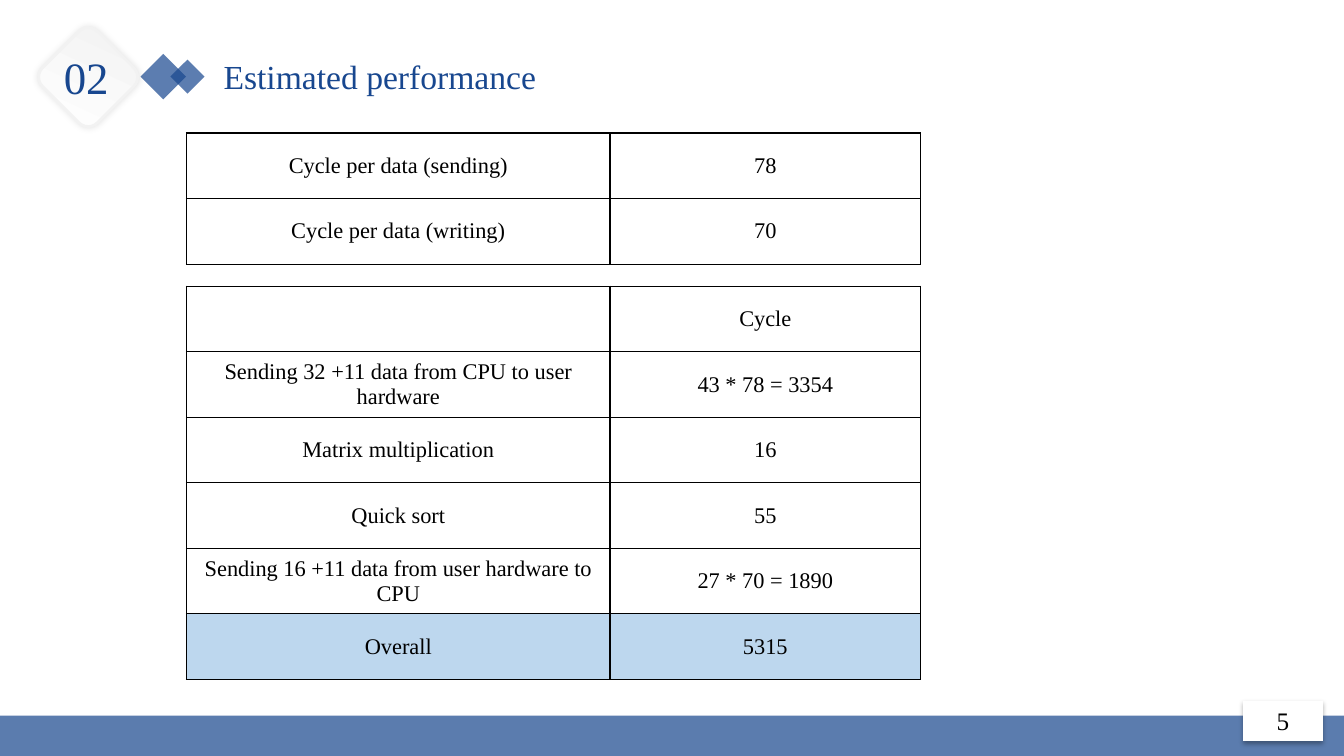
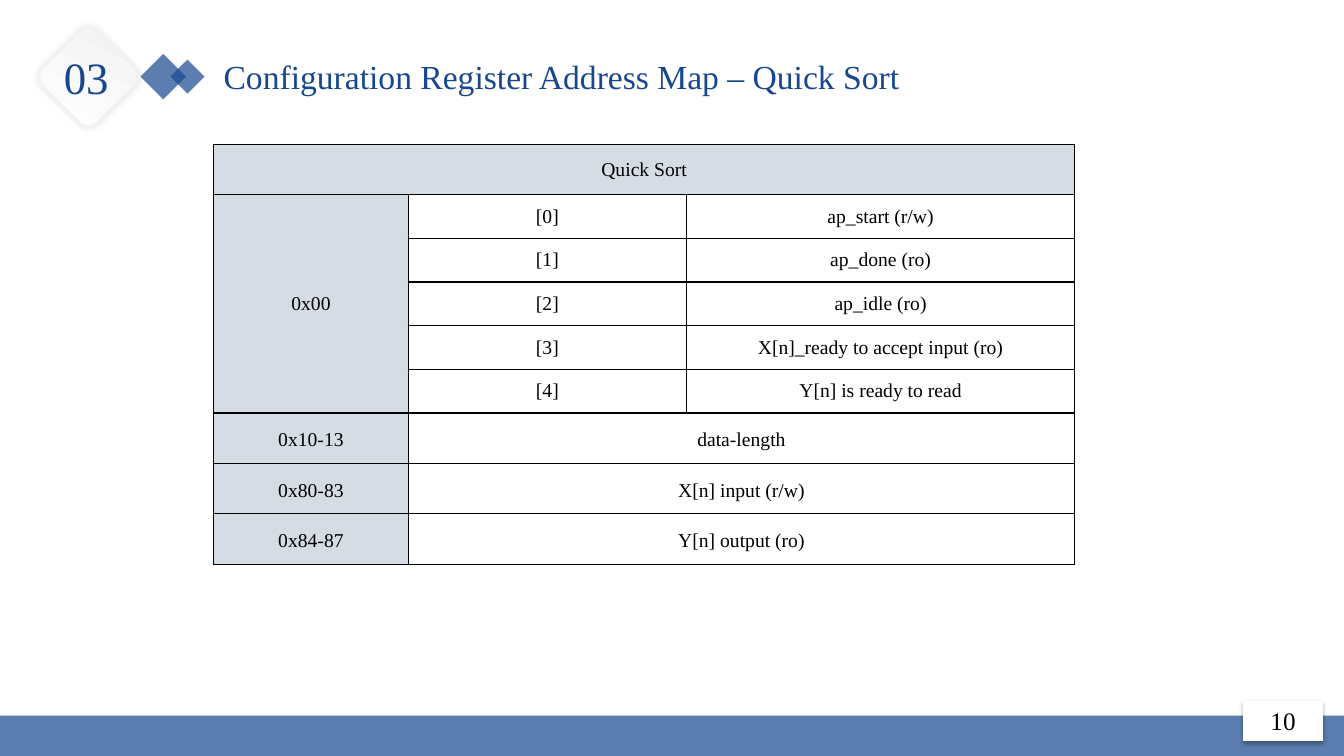
from lxml import etree
from pptx import Presentation
from pptx.dml.color import RGBColor
from pptx.enum.shapes import MSO_SHAPE
from pptx.enum.text import MSO_ANCHOR, PP_ALIGN
from pptx.oxml.ns import qn
from pptx.util import Inches, Pt

RECTANGLE, ROUNDED = MSO_SHAPE.RECTANGLE, MSO_SHAPE.ROUNDED_RECTANGLE
LEFT, CENTER = PP_ALIGN.LEFT, PP_ALIGN.CENTER
TOP, MIDDLE = MSO_ANCHOR.TOP, MSO_ANCHOR.MIDDLE

NAVY = RGBColor(0x18, 0x47, 0x8F)
STEEL = RGBColor(0x5B, 0x7C, 0xAE)
PALE_BLUE = RGBColor(0xBD, 0xD7, 0xEE)
SLATE = RGBColor(0xD5, 0xDC, 0xE4)
OFF_WHITE = RGBColor(0xF2, 0xF2, 0xF2)
WHITE = RGBColor(0xFF, 0xFF, 0xFF)
BLACK = RGBColor(0, 0, 0)
FONT = "Times New Roman"

SLIDE_W, SLIDE_H = Inches(13.33), Inches(7.5)


# Lengths are percentages of the slide's width or height
def across(share):
    return round(SLIDE_W * share / 100)


def down(share):
    return round(SLIDE_H * share / 100)


def area(left, top, width, height):
    return across(left), down(top), across(width), down(height)


# Text
def write(frame, text, size=18, color=BLACK, align=CENTER, anchor=TOP,
          wrap=True, line_spacing=None):
    frame.word_wrap = wrap
    frame.vertical_anchor = anchor
    paragraph = frame.paragraphs[0]
    paragraph.alignment = align
    if line_spacing:
        paragraph.line_spacing = Pt(line_spacing)
    run = paragraph.add_run()
    run.text = text
    run.font.name = FONT
    run.font.size = Pt(size)
    run.font.color.rgb = color


def add_text(slide, place, text, **text_format):
    write(slide.shapes.add_textbox(*place).text_frame, text, **text_format)


# Shapes
def add_block(slide, place, color, kind=RECTANGLE):
    block = slide.shapes.add_shape(kind, *place)
    block.shadow.inherit = False
    block.fill.solid()
    block.fill.fore_color.rgb = color
    block.line.fill.background()
    return block


def add_diamond(slide, center_x, center_y, side, color, angle, kind=RECTANGLE):
    edge = down(side)
    place = (across(center_x) - edge // 2, down(center_y) - edge // 2, edge, edge)
    diamond = add_block(slide, place, color, kind)
    diamond.rotation = angle
    return diamond


def set_alpha(color_element, percent):
    etree.SubElement(color_element, qn("a:alpha"), val=str(percent * 1000))


def cast_shadow(shape, percent, blur, distance=0, angle=0):
    effects = shape._element.spPr.find(qn("a:effectLst"))
    outer = etree.SubElement(effects, qn("a:outerShdw"), blurRad=str(Pt(blur)),
                             dist=str(Pt(distance)), dir=str(angle * 60000),
                             algn="ctr", rotWithShape="0")
    set_alpha(etree.SubElement(outer, qn("a:srgbClr"), val=str(BLACK)), percent)


# Header and footer that every slide shares
def add_framed_slide(deck, section, title, page):
    slide = deck.slides.add_slide(deck.slide_layouts[6])

    for center_x, side in ((12.15, 4.27), (13.95, 3.2)):
        marker = add_diamond(slide, center_x, 10.13, side, NAVY, 225)
        set_alpha(marker._element.spPr.find(qn("a:solidFill"))[0], 70)
    add_text(slide, area(15.9, 6.67, 67.37, 6.67), title,
             size=24, color=NAVY, align=LEFT)

    badge = add_diamond(slide, 6.56, 10.2, 10.27, WHITE, 45, ROUNDED)
    badge.fill.gradient()
    badge.fill.gradient_angle = 110
    for stop, color in zip(badge.fill.gradient_stops, (WHITE, OFF_WHITE)):
        stop.color.rgb = color
    badge.line.color.rgb = OFF_WHITE
    badge.line.width = Pt(2)
    cast_shadow(badge, 11, blur=5)
    add_text(slide, area(3.98, 5.87, 4.88, 8.53), section,
             size=32, color=NAVY, wrap=False)

    add_block(slide, area(0, 94.67, 100, 5.33), STEEL)
    page_tab = add_block(slide, area(92.5, 92.67, 5.93, 5.33), WHITE)
    cast_shadow(page_tab, 32, blur=3.5, distance=2.2, angle=90)
    write(page_tab.text_frame, page, anchor=MIDDLE)
    return slide


# Tables
def add_borders(cell):
    properties = cell._tc.get_or_add_tcPr()
    for edge in ("lnL", "lnR", "lnT", "lnB"):
        line = etree.SubElement(properties, qn(f"a:{edge}"), w=str(Pt(1)))
        solid = etree.SubElement(line, qn("a:solidFill"))
        etree.SubElement(solid, qn("a:srgbClr"), val=str(BLACK))


def add_grid(slide, left, top, columns, heights, rows, size,
             shade=None, is_shaded=None, merges=(), spaced_from=None):
    place = area(left, top, sum(columns), sum(heights))
    table = slide.shapes.add_table(len(rows), len(columns), *place).table
    table.first_row = table.horz_banding = False
    for column, width in zip(table.columns, columns):
        column.width = across(width)
    for table_row, height in zip(table.rows, heights):
        table_row.height = down(height)

    for r, row in enumerate(rows):
        spacing = 18 if spaced_from is not None and r >= spaced_from else None
        for c, text in enumerate(row):
            cell = table.cell(r, c)
            cell.margin_left = cell.margin_right = Inches(0.07)
            cell.margin_top = cell.margin_bottom = 0
            cell.vertical_anchor = MIDDLE
            add_borders(cell)
            if is_shaded and is_shaded(r, c):
                cell.fill.solid()
                cell.fill.fore_color.rgb = shade
            else:
                cell.fill.background()
            if text:
                write(cell.text_frame, text, size=size, line_spacing=spacing)
    for first, last in merges:
        table.cell(*first).merge(table.cell(*last))


# Slides
def add_performance(deck):
    slide = add_framed_slide(deck, "02", "Estimated performance", "5")
    columns, row_height = (31.51, 23.11), 8.67
    cycles_per_data = [
        ("Cycle per data (sending)", "78"),
        ("Cycle per data (writing)", "70"),
    ]
    cycle_budget = [
        ("", "Cycle"),
        ("Sending 32 +11 data from CPU to user hardware", "43 * 78 = 3354"),
        ("Matrix multiplication", "16"),
        ("Quick sort", "55"),
        ("Sending 16 +11 data from user hardware to CPU", "27 * 70 = 1890"),
        ("Overall", "5315"),
    ]
    overall = len(cycle_budget) - 1
    for top, rows, is_shaded in (
            (17.6, cycles_per_data, None),
            (37.87, cycle_budget, lambda r, c: r == overall)):
        add_grid(slide, 13.88, top, columns, [row_height] * len(rows), rows,
                 size=16, shade=PALE_BLUE, is_shaded=is_shaded)


def add_address_map(deck):
    slide = add_framed_slide(
        deck, "03", "Configuration Register Address Map – Quick Sort", "10")
    control_bits = ("ap_start (r/w)", "ap_done (ro)", "ap_idle (ro)",
                    "X[n]_ready to accept input (ro)", "Y[n] is ready to read")
    registers = [("0x10-13", "data-length", ""),
                 ("0x80-83", "X[n] input (r/w)", ""),
                 ("0x84-87", "Y[n] output (ro)", "")]
    bit_rows = [("" if bit else "0x00", f"[{bit}]", meaning)
                for bit, meaning in enumerate(control_bits)]
    rows = [("Quick Sort", "", "")] + bit_rows + registers
    last_bit = len(bit_rows)
    tall, short = 6.67, 5.78
    merges = [((0, 0), (0, 2)), ((1, 0), (last_bit, 0))]
    merges += [((r, 1), (r, 2)) for r in range(last_bit + 1, len(rows))]
    add_grid(slide, 15.9, 19.07, (14.48, 20.71, 28.88),
             [tall] + [short] * last_bit + [tall] * len(registers), rows,
             size=14, shade=SLATE, is_shaded=lambda r, c: r == 0 or c == 0,
             merges=merges, spaced_from=last_bit + 1)


def main():
    deck = Presentation()
    deck.slide_width, deck.slide_height = SLIDE_W, SLIDE_H
    add_performance(deck)
    add_address_map(deck)
    deck.save("out.pptx")


if __name__ == "__main__":
    main()
